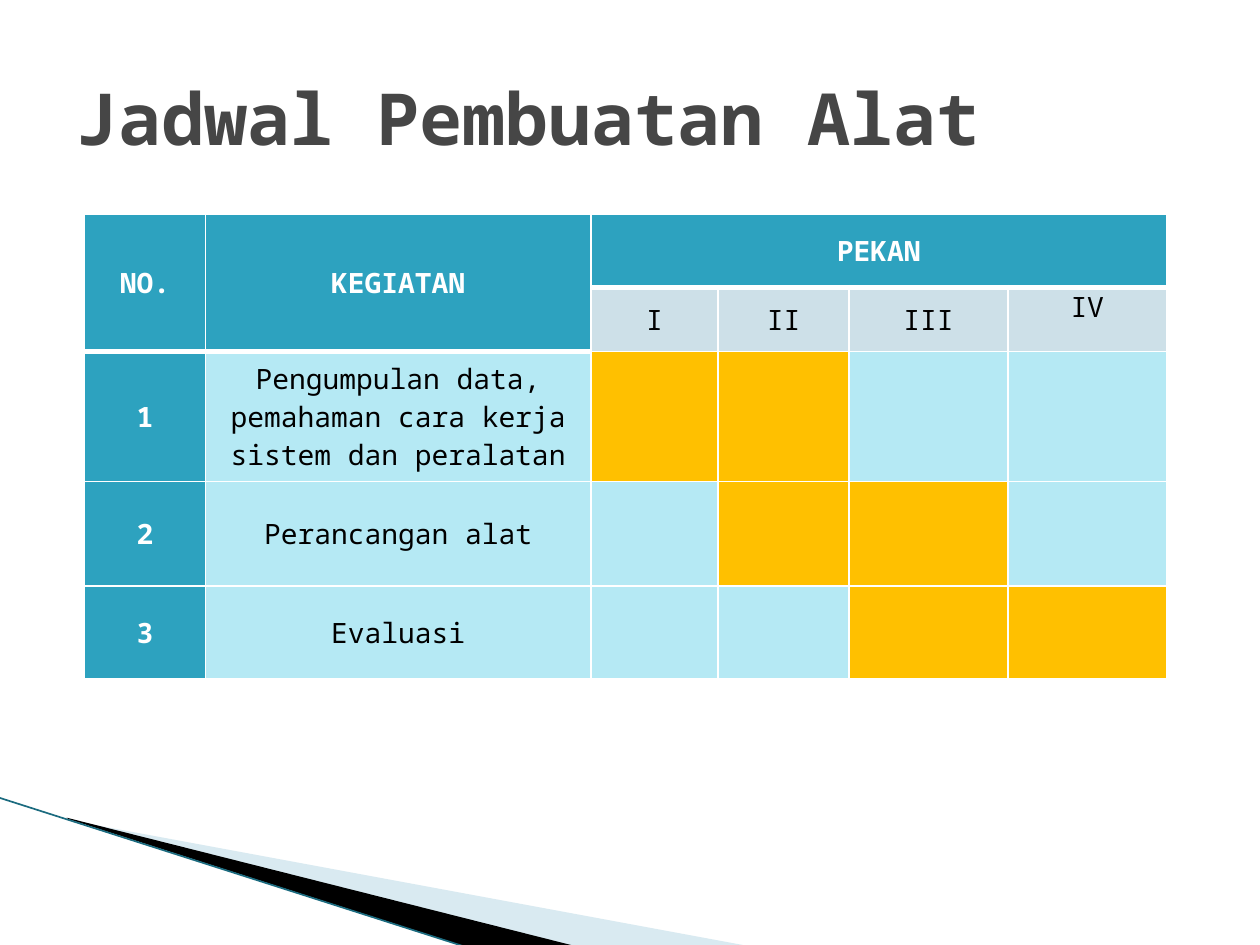
from lxml.etree import SubElement
from pptx import Presentation
from pptx.dml.color import RGBColor
from pptx.enum.shapes import MSO_CONNECTOR
from pptx.enum.text import MSO_ANCHOR as ANCHOR, PP_ALIGN as ALIGN
from pptx.oxml.ns import qn
from pptx.util import Inches, Pt

FONT = "Noto Sans Mono"
TEAL, PALE, GREY, AMBER = "2DA2BF", "B5E9F4", "CDE0E8", "FFC000"


def paint(fill, color):
    fill.solid()
    fill.fore_color.rgb = RGBColor.from_string(color)


def write(tf, text, size, color, bold, align):
    p = tf.paragraphs[0]
    p.alignment = align
    r = p.add_run()
    r.text = text
    for name, value in {"name": FONT, "size": Pt(size), "bold": bold}.items():
        setattr(r.font, name, value)
    paint(r.font.fill, color)


prs = Presentation()
prs.slide_width, prs.slide_height = Inches(10), Inches(7.5)
s = prs.slides.add_slide(prs.slide_layouts[6])

wedges = [
    ("A0CBDC", 40, [(0.55, 6.51), (5.95, 7.51), (4.56, 7.51), (0.55, 6.5)]),
    ("000000", 100, [(0.53, 6.49), (4.57, 7.51), (3.72, 7.52), (0.54, 6.5)]),
]
for color, opacity, points in wedges:
    points = [(Inches(x), Inches(y)) for x, y in points]
    builder = s.shapes.build_freeform(*points[0], scale=1.0)
    builder.add_line_segments(points[1:], close=True)
    sp = builder.convert_to_shape()
    sp.shadow.inherit = False
    sp.line.fill.background()
    paint(sp.fill, color)
    if opacity < 100:
        clr = sp.fill.fore_color._xFill.find(qn("a:srgbClr"))
        SubElement(clr, qn("a:alpha"), val=str(opacity * 1000))

edge = s.shapes.add_connector(
    MSO_CONNECTOR.STRAIGHT, Inches(-0.01), Inches(6.33), Inches(3.71), Inches(7.52))
edge.line.width = Pt(0.95)
paint(edge.line.fill, "1B6B7F")
SubElement(edge._element.spPr, qn("a:effectLst"))

col_widths = [0.96, 3.06, 1.01, 1.04, 1.26, 1.26]
row_heights = [0.58, 0.51, 1.03, 0.83, 0.74]
rows = [
    ["NO.", "KEGIATAN", "PEKAN", "", "", ""],
    ["", "", "I", "II", "III", "IV"],
    ["1", "Pengumpulan data, pemahaman cara kerja sistem dan peralatan", "", "", "", ""],
    ["2", "Perancangan alat", "", "", "", ""],
    ["3", "Evaluasi", "", "", "", ""],
]
table = s.shapes.add_table(
    len(rows), len(col_widths), Inches(0.67), Inches(1.7),
    Inches(sum(col_widths)), Inches(sum(row_heights))).table
for col, width in zip(table.columns, col_widths):
    col.width = Inches(width)
for row, height in zip(table.rows, row_heights):
    row.height = Inches(height)
for first, last in [((0, 0), (1, 0)), ((0, 1), (1, 1)), ((0, 2), (0, 5))]:
    table.cell(*first).merge(table.cell(*last))

for i, texts in enumerate(rows):
    for j, text in enumerate(texts):
        cell = table.cell(i, j)
        header = i == 0 or j == 0 or (i == 1 and j == 1)
        if header:
            color = TEAL
        elif i == 1:
            color = GREY
        else:
            color = AMBER if j in (i, i + 1) else PALE
        header_end = 1 if j < 2 else 0
        thick = {"T": i == header_end + 1, "B": i == header_end or (i == 0 and j < 2)}
        tcPr = cell._tc.get_or_add_tcPr()
        for side in "LRTB":
            width = Pt(3 if thick.get(side) else 1)
            ln = SubElement(tcPr, qn("a:ln" + side), w=str(width))
            SubElement(SubElement(ln, qn("a:solidFill")), qn("a:srgbClr"), val="FFFFFF")
        paint(cell.fill, color)
        layout = {
            "margin_left": Inches(0.07), "margin_right": Inches(0.07),
            "margin_top": 0, "margin_bottom": 0,
            "vertical_anchor": ANCHOR.TOP if text == "IV" else ANCHOR.MIDDLE,
        }
        for name, value in layout.items():
            setattr(cell, name, value)
        if text:
            write(cell.text_frame, text, 16, "FFFFFF" if header else "000000",
                  header, ALIGN.CENTER)

title = s.shapes.add_textbox(Inches(0.5), Inches(0.3), Inches(9), Inches(1.25))
tf = title.text_frame
tf.word_wrap = True
tf.vertical_anchor = ANCHOR.MIDDLE
write(tf, "Jadwal Pembuatan Alat", 41, "464646", True, ALIGN.LEFT)

prs.save("out.pptx")
